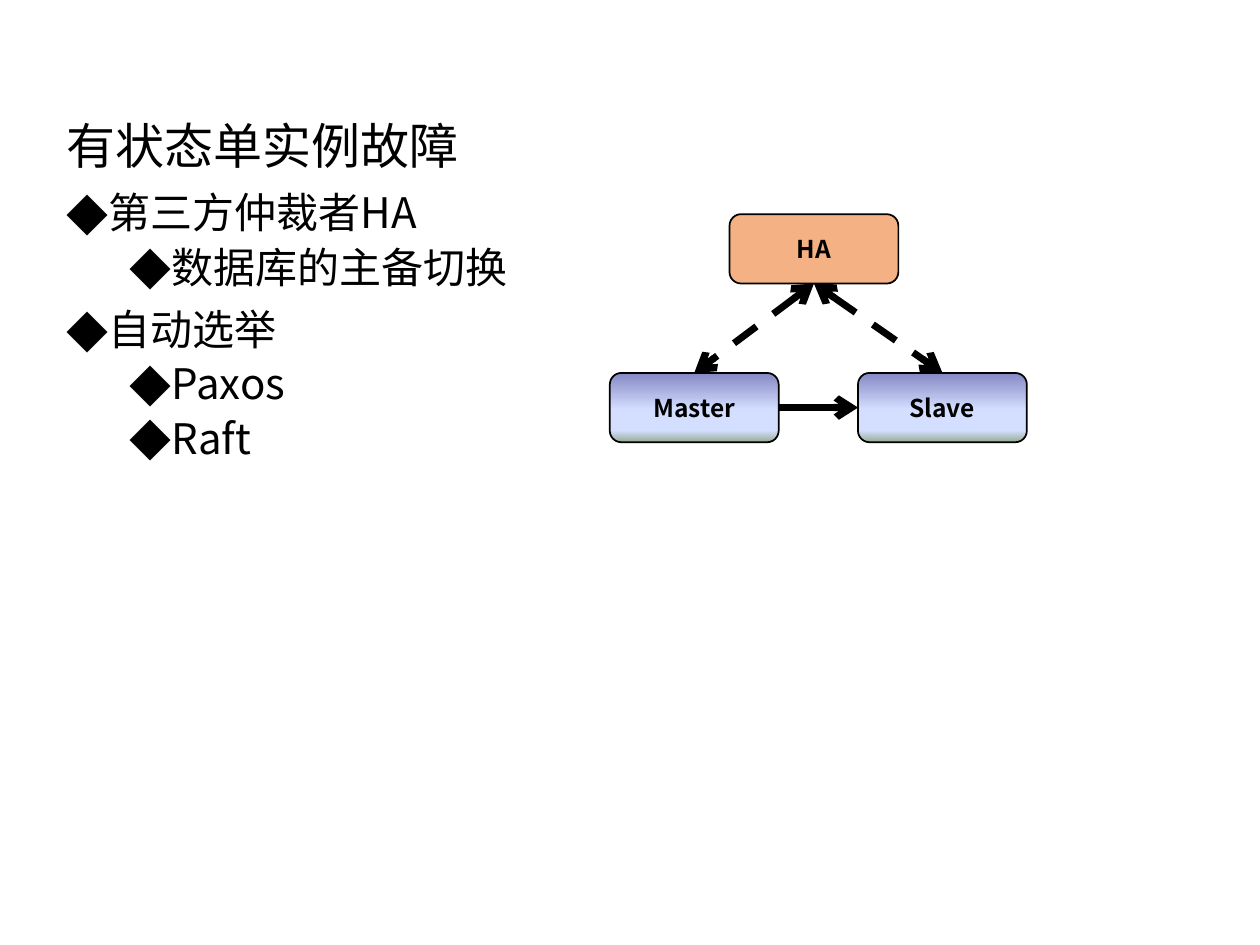
import pptx
import pptx.util
import pptx.dml.color
import pptx.enum.dml
import pptx.enum.shapes
import pptx.enum.text
import pptx.oxml.ns
from lxml import etree

Inches = pptx.util.Inches
Pt = pptx.util.Pt
RGBColor = pptx.dml.color.RGBColor
qn = pptx.oxml.ns.qn

BLACK = RGBColor(0x00, 0x00, 0x00)
ORANGE = RGBColor(0xF4, 0xB1, 0x83)
BLUE_STOPS = [
    (0, RGBColor(0x84, 0x88, 0xC4)),
    (53, RGBColor(0xD4, 0xDE, 0xFF)),
    (83, RGBColor(0xD4, 0xDE, 0xFF)),
    (100, RGBColor(0x96, 0xAB, 0x94)),
]
FONT = "Noto Sans CJK SC"


def write_text(para, text, size=24, bold=False, align=pptx.enum.text.PP_ALIGN.LEFT):
    para.alignment = align
    span = para.add_run()
    span.text = text
    span.font.size = Pt(size)
    span.font.bold = bold
    span.font.color.rgb = BLACK
    span.font.name = FONT
    etree.SubElement(span.font._element, qn("a:ea"), typeface=FONT)


deck = pptx.Presentation()
deck.slide_width, deck.slide_height = Inches(10), Inches(7.5)
page = deck.slides.add_slide(deck.slide_layouts[1])

# Body list; its first line serves as the heading
title = page.shapes.title
title.element.getparent().remove(title.element)
body = page.placeholders[1]
body.left, body.top = Inches(0.43), Inches(0.92)
body.width, body.height = Inches(9.21), Inches(6.19)
frame = body.text_frame
frame.word_wrap = True
frame.auto_size = pptx.enum.text.MSO_AUTO_SIZE.NONE
frame.vertical_anchor = pptx.enum.text.MSO_ANCHOR.TOP

# Text, level, bulleted
lines = [
    ("有状态单实例故障", 0, False),
    ("第三方仲裁者HA", 0, True),
    ("数据库的主备切换", 1, True),
    ("自动选举", 0, True),
    ("Paxos", 1, True),
    ("Raft", 1, True),
]
for index, (text, level, bulleted) in enumerate(lines):
    para = frame.paragraphs[0] if index == 0 else frame.add_paragraph()
    para.level = level
    para.line_spacing = 0.9
    para.space_before = Pt(5 if level else 10)
    para.space_after = Pt(0)
    write_text(para, text, size=24 if bulleted else 28)
    props = para._element.get_or_add_pPr()
    hang = Inches(0.25) if bulleted else 0
    props.set("marL", str(hang + Inches(0.5) * level))
    props.set("indent", str(-hang))
    if bulleted:
        etree.SubElement(props, qn("a:buFont"), typeface=FONT)
        etree.SubElement(props, qn("a:buChar"), char="◆")
    else:
        etree.SubElement(props, qn("a:buNone"))

# Nodes: the arbiter above, the two instances below
nodes = {}
for name, left, top in [("Master", 4.84, 2.96), ("HA", 5.79, 1.7), ("Slave", 6.81, 2.96)]:
    box = page.shapes.add_shape(
        pptx.enum.shapes.MSO_SHAPE.ROUNDED_RECTANGLE,
        Inches(left), Inches(top), Inches(1.34), Inches(0.55))
    box.shadow.inherit = False
    box.line.color.rgb = BLACK
    box.line.width = Pt(1)
    if name == "HA":
        box.fill.solid()
        box.fill.fore_color.rgb = ORANGE
    else:
        box.fill.gradient()
        box.fill.gradient_angle = 270
        stops = box.element.spPr.find(qn("a:gradFill")).find(qn("a:gsLst"))
        stops.clear()
        for percent, color in BLUE_STOPS:
            stop = etree.SubElement(stops, qn("a:gs"), pos=str(percent * 1000))
            etree.SubElement(stop, qn("a:srgbClr"), val=str(color))
    box.text_frame.vertical_anchor = pptx.enum.text.MSO_ANCHOR.MIDDLE
    write_text(box.text_frame.paragraphs[0], name, size=14, bold=True,
               align=pptx.enum.text.PP_ALIGN.CENTER)
    nodes[name] = box

# Arrows: dashed and two-way to the arbiter, solid and one-way between instances
for start, start_side, end, end_side, two_way in [
    ("HA", 2, "Master", 0, True),
    ("HA", 2, "Slave", 0, True),
    ("Master", 3, "Slave", 1, False),
]:
    arrow = page.shapes.add_connector(pptx.enum.shapes.MSO_CONNECTOR.STRAIGHT, 0, 0, 0, 0)
    arrow.begin_connect(nodes[start], start_side)
    arrow.end_connect(nodes[end], end_side)
    arrow.line.color.rgb = BLACK
    arrow.line.width = Pt(4)
    if two_way:
        arrow.line.dash_style = pptx.enum.dml.MSO_LINE.DASH
    stroke = arrow.line._get_or_add_ln()
    for tag in ["a:headEnd", "a:tailEnd"] if two_way else ["a:tailEnd"]:
        etree.SubElement(stroke, qn(tag), type="arrow")
    etree.SubElement(arrow._element.spPr, qn("a:effectLst"))

deck.save("out.pptx")
